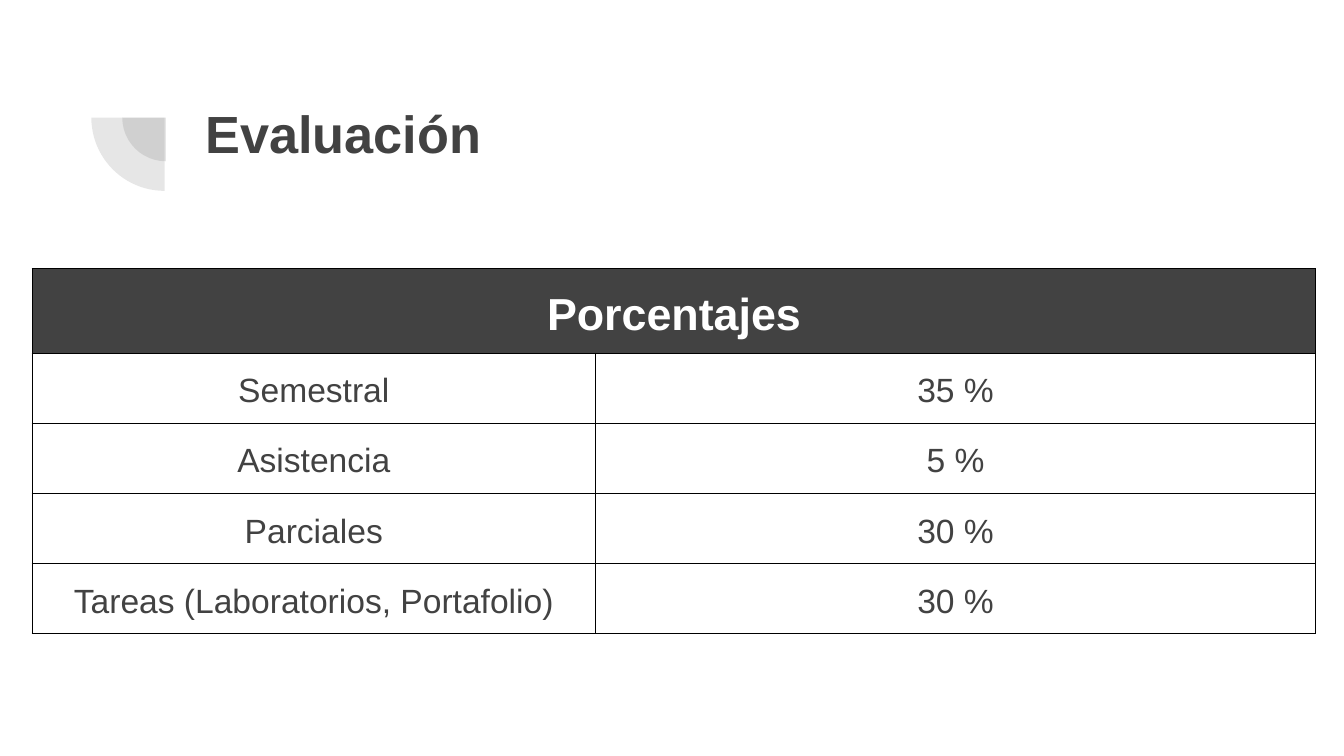
import pptx
import pptx.util
import pptx.dml.color
import pptx.enum.shapes
import pptx.enum.text
import pptx.oxml.ns
from lxml import etree

Inches = pptx.util.Inches
Pt = pptx.util.Pt
qn = pptx.oxml.ns.qn
ALIGN = pptx.enum.text.PP_ALIGN
ANCHOR = pptx.enum.text.MSO_ANCHOR
DARK = "424242"
ROWS = [
    ("Semestral", "35 %"),
    ("Asistencia", "5 %"),
    ("Parciales", "30 %"),
    ("Tareas (Laboratorios, Portafolio)", "30 %"),
]


def paint(target, color):
    """Set a solid fill from a hex string."""
    target.fill.solid()
    target.fill.fore_color.rgb = pptx.dml.color.RGBColor.from_string(color)


def style(para, size, color, bold, align):
    """Format a paragraph and its runs."""
    para.alignment = align
    for run in para.runs:
        font = run.font
        font.name, font.size, font.bold = "Arial", Pt(size), bold
        paint(font, color)


def add_title(slide, text):
    """Place and format the slide title."""
    title = slide.shapes.title
    title.left, title.top = Inches(1.43), Inches(0.65)
    title.width, title.height = Inches(7.69), Inches(1.09)
    frame = title.text_frame
    frame.text = text
    frame.word_wrap = True
    frame.auto_size = pptx.enum.text.MSO_AUTO_SIZE.NONE
    frame.vertical_anchor = ANCHOR.TOP
    frame.margin_left = frame.margin_right = Inches(0.1)
    frame.margin_top = frame.margin_bottom = Inches(0.1)
    style(frame.paragraphs[0], 28, DARK, True, ALIGN.LEFT)
    return title


def add_wedge(slide, title, left, top, size):
    """Add a translucent quarter disc behind the title."""
    kind = pptx.enum.shapes.MSO_SHAPE.PIE
    wedge = slide.shapes.add_shape(
        kind, Inches(left), Inches(top), Inches(size), Inches(size))
    wedge.adjustments[0], wedge.adjustments[1] = 108, 162
    wedge.rotation = 270
    wedge.shadow.inherit = False
    wedge.line.fill.background()
    paint(wedge, DARK)
    tint = wedge._element.spPr.find(qn("a:solidFill"))[0]
    etree.SubElement(tint, qn("a:alpha"), val="13000")
    title._element.addprevious(wedge._element)


def add_edges(cell):
    """Draw thin black borders around a cell."""
    props = cell._tc.get_or_add_tcPr()
    for side in ("lnL", "lnR", "lnT", "lnB"):
        line = etree.SubElement(props, qn("a:" + side), w=str(Pt(0.75)))
        fill = etree.SubElement(line, qn("a:solidFill"))
        etree.SubElement(fill, qn("a:srgbClr"), val="000000")


def fill_cell(cell, text, size, color, bold):
    """Write centred text at the foot of a cell."""
    cell.text = text
    cell.vertical_anchor = ANCHOR.BOTTOM
    cell.margin_left = cell.margin_right = Inches(0.03)
    cell.margin_top = cell.margin_bottom = Inches(0.1)
    para = cell.text_frame.paragraphs[0]
    para.line_spacing = 1.15
    style(para, size, color, bold, ALIGN.CENTER)


def add_grid(slide, head, rows):
    """Add the table with one merged heading row."""
    widths = (4.19, 5.36)
    heights = [0.62] + [0.52] * len(rows)
    grid = slide.shapes.add_table(
        len(heights), len(widths), Inches(0.24), Inches(2.0),
        Inches(sum(widths)), Inches(sum(heights))).table
    for col, width in zip(grid.columns, widths):
        col.width = Inches(width)
    for row, height in zip(grid.rows, heights):
        row.height = Inches(height)
    for cell in grid.iter_cells():
        add_edges(cell)
        cell.fill.background()
    top = grid.cell(0, 0)
    top.merge(grid.cell(0, 1))
    paint(top, DARK)
    fill_cell(top, head, 24, "FFFFFF", True)
    for i, row in enumerate(rows, 1):
        for j, text in enumerate(row):
            fill_cell(grid.cell(i, j), text, 18, DARK, False)


def main():
    """Build the grading slide."""
    deck = pptx.Presentation()
    deck.slide_width = Inches(10)
    deck.slide_height = deck.slide_width * 9 // 16
    slide = deck.slides.add_slide(deck.slide_layouts[5])
    title = add_title(slide, "Evaluación")
    add_wedge(slide, title, 0.91, 0.55, 0.65)
    add_wedge(slide, title, 0.68, 0.33, 1.09)
    add_grid(slide, "Porcentajes", ROWS)
    deck.save("out.pptx")


if __name__ == "__main__":
    main()
